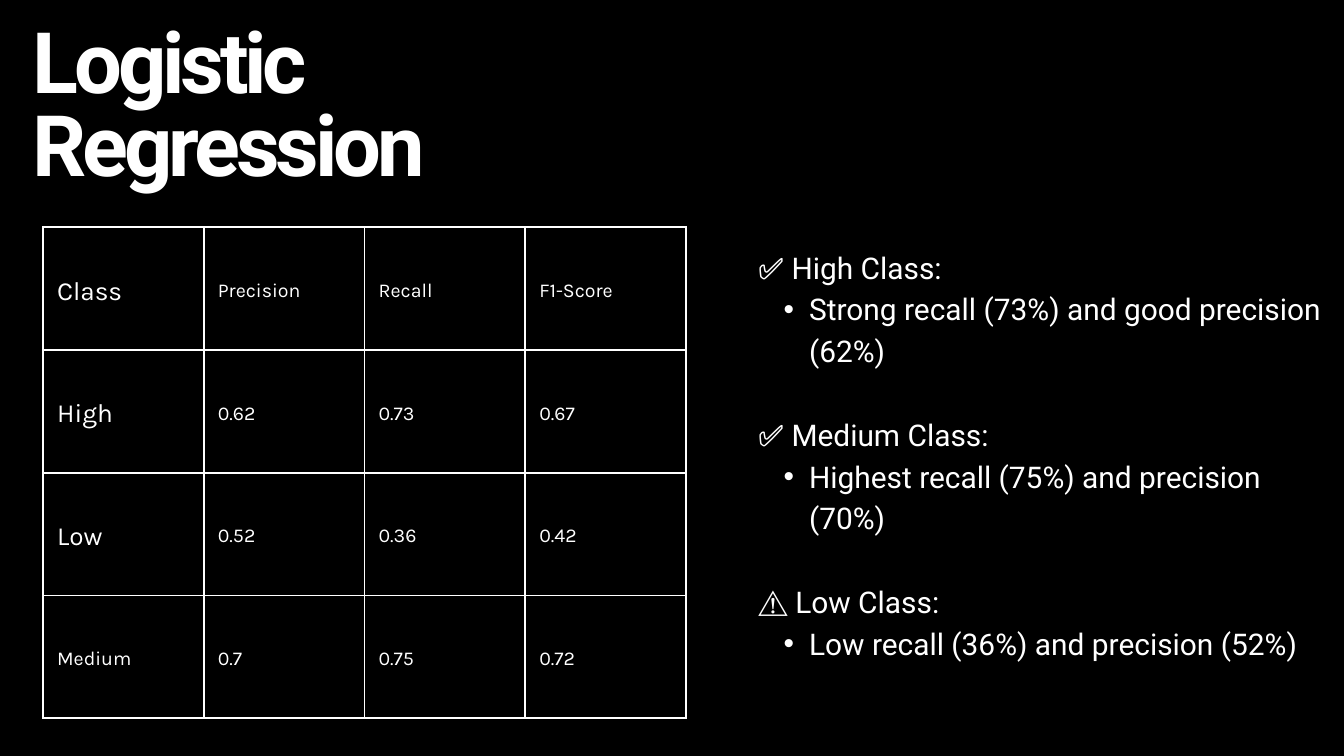
"""Build the logistic regression results slide with its score table and class findings."""
from dataclasses import dataclass

from lxml.etree import SubElement
from pptx import Presentation
from pptx.dml.color import RGBColor
from pptx.enum.text import MSO_ANCHOR as Anchor, MSO_AUTO_SIZE as AutoSize, PP_ALIGN as Align
from pptx.oxml.ns import qn
from pptx.util import Inches, Pt


@dataclass(frozen=True)
class Theme:
    ink: RGBColor = RGBColor(0xFF, 0xFF, 0xFF)
    ground: RGBColor = RGBColor(0, 0, 0)
    text_font: str = "Roboto"
    table_font: str = "Karla"
    title_size: float = 90.8
    body_size: float = 32
    label_size: float = 28
    cell_size: float = 21
    border: float = 2.25


theme = Theme()


def style_paragraph(para, font_name, size, line_spacing, bold=False):
    para.alignment = Align.LEFT
    para.line_spacing = Pt(line_spacing)
    for span in para.runs:
        span.font.name = font_name
        span.font.size = Pt(size)
        span.font.bold = bold
        span.font.color.rgb = theme.ink


def prepare_frame(frame):
    frame.word_wrap = True
    frame.auto_size = AutoSize.NONE
    frame.vertical_anchor = Anchor.TOP
    frame.margin_left = frame.margin_right = frame.margin_top = frame.margin_bottom = 0


deck = Presentation()
deck.slide_width, deck.slide_height = Inches(20), Inches(11.25)
page = deck.slides.add_slide(deck.slide_layouts[5])
page.background.fill.solid()
page.background.fill.fore_color.rgb = theme.ground

title = page.shapes.title
title.left, title.top, title.width, title.height = Inches(0.49), Inches(0.41), Inches(8.15), Inches(2.52)
prepare_frame(title.text_frame)
title.text_frame.text = "Logistic Regression"
heading = title.text_frame.paragraphs[0]
style_paragraph(heading, theme.text_font, theme.title_size, 89, bold=True)
heading.runs[0].font._element.set("spc", "-450")

scores = [
    ["Class", "Precision", "Recall", "F1-Score"],
    ["High", "0.62", "0.73", "0.67"],
    ["Low", "0.52", "0.36", "0.42"],
    ["Medium", "0.7", "0.75", "0.72"],
]
large_labels = {"Class", "High", "Low"}
table = page.shapes.add_table(
    len(scores), len(scores[0]), Inches(0.64), Inches(3.38), Inches(9.57), Inches(7.31)
).table
table.first_row = table.horz_banding = False

for row, values in enumerate(scores):
    for column, value in enumerate(values):
        cell = table.cell(row, column)
        cell.text = value
        cell.vertical_anchor = Anchor.MIDDLE
        cell.margin_left = cell.margin_right = cell.margin_top = cell.margin_bottom = Inches(0.21)
        size = theme.label_size if value in large_labels else theme.cell_size
        style_paragraph(cell.text_frame.paragraphs[0], theme.table_font, size, size * 1.4)
        properties = cell._tc.get_or_add_tcPr()
        for side in ("a:lnL", "a:lnR", "a:lnT", "a:lnB"):
            line = SubElement(properties, qn(side), w=str(Pt(theme.border)))
            fill = SubElement(line, qn("a:solidFill"))
            SubElement(fill, qn("a:srgbClr"), val=str(theme.ink))
        cell.fill.background()

findings = [
    ("✅ High Class:", "Strong recall (73%) and good precision (62%)"),
    ("✅ Medium Class:", "Highest recall (75%) and precision (70%)"),
    ("⚠️ Low Class:", "Low recall (36%) and precision (52%)"),
]
body_spacing = theme.body_size * 1.4
box = page.shapes.add_textbox(Inches(11.28), Inches(3.62), Inches(8.48), Inches(6.75))
prepare_frame(box.text_frame)

for index, (label, finding) in enumerate(findings):
    para = box.text_frame.add_paragraph() if index else box.text_frame.paragraphs[0]
    para.text = label
    style_paragraph(para, theme.text_font, theme.body_size, body_spacing)
    if index:
        para.space_before = Pt(body_spacing)

    para = box.text_frame.add_paragraph()
    para.text = finding
    para.level = 1
    style_paragraph(para, theme.text_font, theme.body_size, body_spacing)
    properties = para._p.get_or_add_pPr()
    properties.set("marL", str(Inches(0.76)))
    properties.set("indent", str(Inches(-0.38)))
    SubElement(properties, qn("a:buFont"), typeface="Arial")
    SubElement(properties, qn("a:buChar"), char="•")

deck.save("out.pptx")
